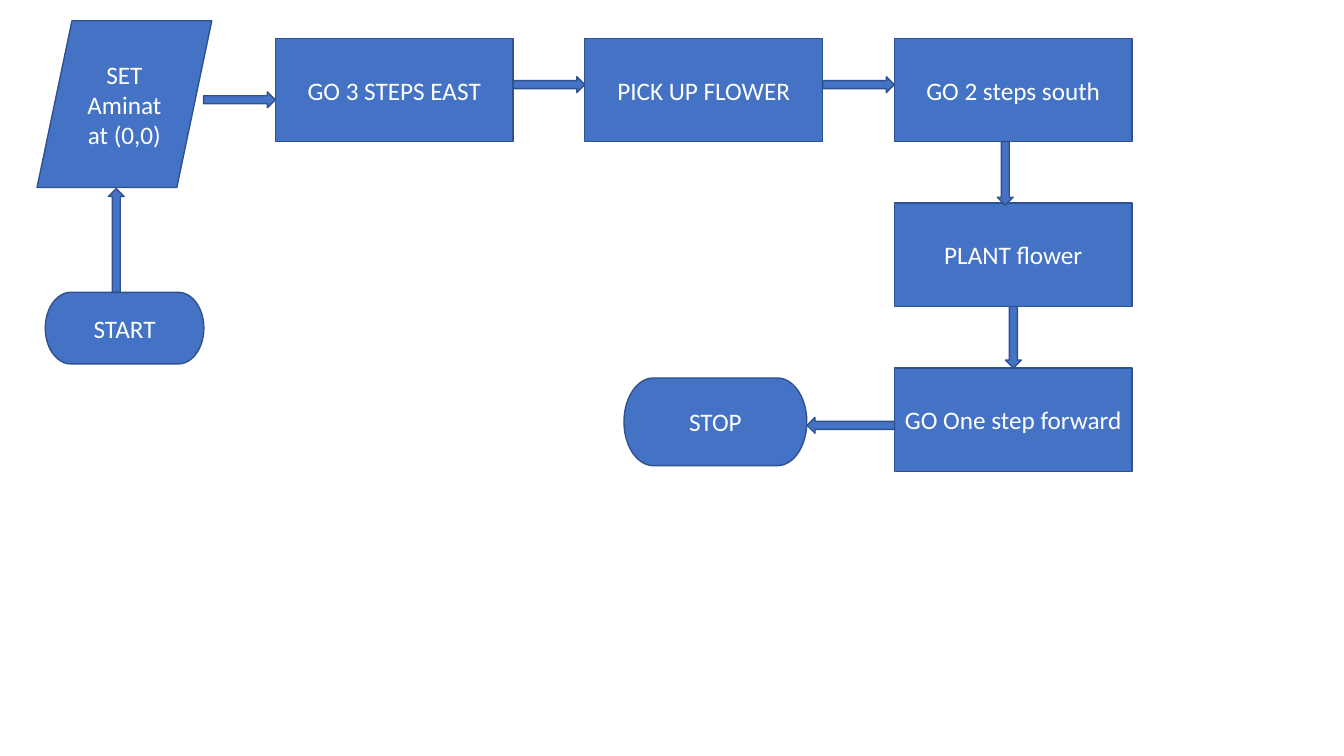
from pptx import Presentation
from pptx.dml.color import RGBColor
from pptx.enum.shapes import MSO_SHAPE
from pptx.enum.text import MSO_ANCHOR, PP_ALIGN
from pptx.util import Inches, Pt

BOX = MSO_SHAPE.RECTANGLE
TERM = MSO_SHAPE.FLOWCHART_TERMINATOR
DATA = MSO_SHAPE.FLOWCHART_DATA
RIGHT, LEFT = MSO_SHAPE.RIGHT_ARROW, MSO_SHAPE.LEFT_ARROW
UP, DOWN = MSO_SHAPE.UP_ARROW, MSO_SHAPE.DOWN_ARROW
MIDDLE, CENTER = MSO_ANCHOR.MIDDLE, PP_ALIGN.CENTER

COLORS = {"fill": "4472C4", "line": "2F528F", "text": "FFFFFF"}


class Chart:
    """Draws a flowchart; lengths are percentages of the slide's size."""

    font, size = "Calibri", Pt(18)
    thick_x, thick_y = 1.18, 2.1
    step_w, step_h = 17.7, 13.67

    def __init__(self, deck):
        self.wide, self.high = deck.slide_width, deck.slide_height
        self.slide = deck.slides.add_slide(deck.slide_layouts[6])

    def color(self, name):
        return RGBColor.from_string(COLORS[name])

    def shape(self, kind, x, y, w, h):
        item = self.slide.shapes.add_shape(
            kind, int(self.wide * x / 100), int(self.high * y / 100),
            int(self.wide * w / 100), int(self.high * h / 100))
        item.shadow.inherit = False
        item.fill.solid()
        item.fill.fore_color.rgb = self.color("fill")
        item.line.color.rgb = self.color("line")
        item.line.width = Pt(1)
        return item

    def node(self, kind, text, x, y, w, h):
        frame = self.shape(kind, x, y, w, h).text_frame
        frame.word_wrap = True
        frame.vertical_anchor = MIDDLE
        para = frame.paragraphs[0]
        para.text = text
        para.alignment = CENTER
        para.font.name, para.font.size = self.font, self.size
        para.font.color.rgb = self.color("text")

    def step(self, text, col, row):
        """Add a process box in a cell of the step grid."""
        self.node(BOX, text, 20.48 + 23.03 * col, 5.07 + 21.8 * row,
                  self.step_w, self.step_h)

    def across(self, kind, x, mid, size):
        """Add a level arrow centred on the height mid."""
        self.shape(kind, x, mid - self.thick_y / 2, size, self.thick_y)

    def along(self, kind, mid, y, size):
        """Add an upright arrow centred on the position mid."""
        self.shape(kind, mid - self.thick_x / 2, y, self.thick_x, size)


def main():
    deck = Presentation()
    deck.slide_width, deck.slide_height = Inches(13.33), Inches(7.5)
    chart = Chart(deck)

    chart.node(TERM, "START", 3.37, 38.67, 11.8, 9.47)
    for text, col, row in (
            ("GO 3 STEPS EAST", 0, 0),
            ("PICK UP FLOWER", 1, 0),
            ("GO 2 steps south", 2, 0),
            ("PLANT flower", 2, 1),
            ("GO One step forward", 2, 2)):
        chart.step(text, col, row)
    chart.node(TERM, "STOP", 46.43, 50, 13.6, 11.6)

    for x in (38.18, 61.21):
        chart.across(RIGHT, x, 11.2, 5.33)
    chart.along(DOWN, 74.8, 18.74, 8.4)
    chart.along(DOWN, 75.4, 40.54, 8.13)
    chart.across(LEFT, 60.05, 56.27, 6.5)
    chart.across(RIGHT, 15.15, 13.2, 5.33)
    chart.node(DATA, "SET Aminat at (0,0)", 2.76, 2.75, 13, 22.05)
    chart.along(UP, 8.65, 24.95, 13.7)

    deck.save("out.pptx")


if __name__ == "__main__":
    main()
